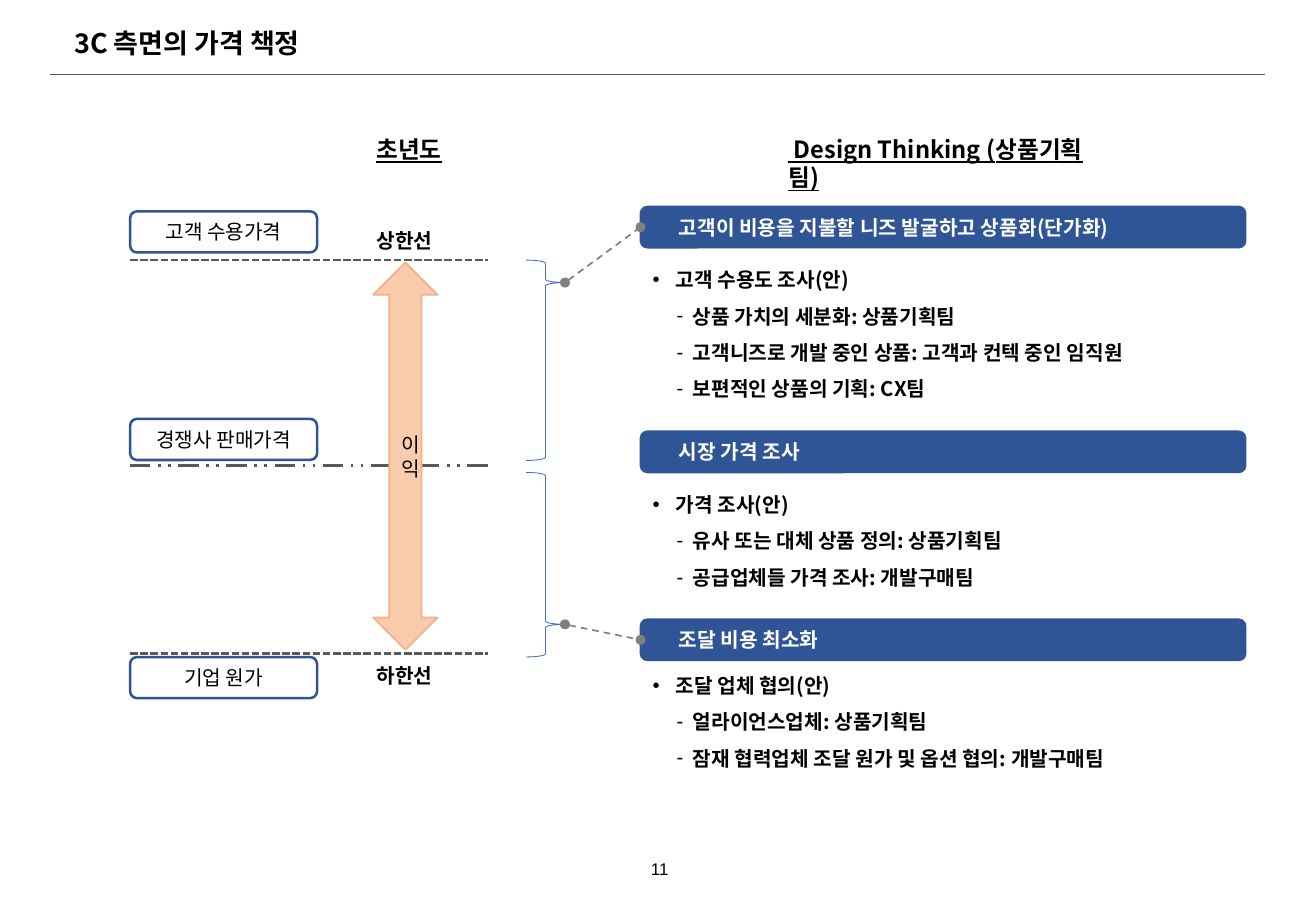
from lxml.etree import SubElement
from pptx import Presentation
from pptx.dml.color import RGBColor
from pptx.enum.dml import MSO_LINE as DASH
from pptx.enum.shapes import MSO_CONNECTOR, MSO_SHAPE as SHAPE
from pptx.enum.text import MSO_ANCHOR as ANCHOR, MSO_AUTO_SIZE, PP_ALIGN as ALIGN
from pptx.oxml.ns import qn
from pptx.util import Cm, Pt

FONT = "Noto Sans CJK KR"
NAVY, BLUE, GRAY = "325491", "2F5597", "595959"
PRICE_X, LABEL_X, BRACE_X, BAR_X = 2.72, 7.62, 11, 13.39
BOX_H, BRACE_W = 0.86, 0.81

# Bar top, heading, list top, list height, list heading, list items
SECTIONS = [
    (4.32, "고객이 비용을 지불할 니즈 발굴하고 상품화(단가화)", 5.21, 3.25,
     "고객 수용도 조사(안)",
     ["상품 가치의 세분화: 상품기획팀",
      "고객니즈로 개발 중인 상품: 고객과 컨텍 중인 임직원",
      "보편적인 상품의 기획: CX팀"]),
    (9.02, "시장 가격 조사", 9.91, 2.46, "가격 조사(안)",
     ["유사 또는 대체 상품 정의: 상품기획팀",
      "공급업체들 가격 조사: 개발구매팀"]),
    (12.95, "조달 비용 최소화", 13.69, 2.46, "조달 업체 협의(안)",
     ["얼라이언스업체: 상품기획팀",
      "잠재 협력업체 조달 원가 및 옵션 협의: 개발구매팀"]),
]


def rgb(color):
    return RGBColor.from_string(color)


def write(p, text, size=12, color="000000", bold=False, underline=False,
          align=ALIGN.LEFT, spacing=1, font=FONT):
    p.alignment = align
    p.space_before = Pt(0)
    p.line_spacing = Pt(round(1.2 * size * spacing, 1))
    r = p.add_run()
    r.text = text
    f = r.font
    f.name, f.size, f.bold, f.underline = font, Pt(size), bold, underline
    f.color.rgb = rgb(color)
    SubElement(r._r.get_or_add_rPr(), qn("a:ea"), typeface=font)


def place(s, x, y, w, h):
    s.left, s.top, s.width, s.height = Cm(x), Cm(y), Cm(w), Cm(h)


def set_frame(tf, anchor=ANCHOR.TOP, wrap=True):
    tf.word_wrap = wrap
    tf.auto_size = MSO_AUTO_SIZE.NONE
    tf.vertical_anchor = anchor


def add_text(slide, x, y, w, h, text, anchor=ANCHOR.TOP, wrap=True, **fmt):
    tf = slide.shapes.add_textbox(Cm(x), Cm(y), Cm(w), Cm(h)).text_frame
    set_frame(tf, anchor, wrap)
    write(tf.paragraphs[0], text, **fmt)


def add_shape(slide, kind, x, y, w, h, line, width, fill=None):
    s = slide.shapes.add_shape(kind, Cm(x), Cm(y), Cm(w), Cm(h))
    s.shadow.inherit = False
    s.line.color.rgb = rgb(line)
    s.line.width = Pt(width)
    if fill:
        s.fill.solid()
        s.fill.fore_color.rgb = rgb(fill)
    else:
        s.fill.background()
    set_frame(s.text_frame, ANCHOR.MIDDLE)
    return s


def add_line(slide, x1, y1, x2, y2, color=GRAY, width=1.5, dash=None, dots=False):
    """Draw a straight line, with round dots at both ends if asked."""
    c = slide.shapes.add_connector(MSO_CONNECTOR.STRAIGHT,
                                   Cm(x1), Cm(y1), Cm(x2), Cm(y2))
    c.line.color.rgb = rgb(color)
    c.line.width = Pt(width)
    if dash:
        c.line.dash_style = dash
    if dots:
        ln = c.line._get_or_add_ln()
        for end in ("a:headEnd", "a:tailEnd"):
            SubElement(ln, qn(end), type="oval")
    SubElement(c._element.spPr, qn("a:effectLst"))
    return c


def add_bullet(p, char, margin, hanging):
    pPr = p._p.get_or_add_pPr()
    pPr.set("marL", str(Cm(margin)))
    pPr.set("indent", str(-Cm(hanging)))
    SubElement(pPr, qn("a:buFont"), typeface="Arial")
    SubElement(pPr, qn("a:buChar"), char=char)


def fill_list(s, y, h, heading, items):
    place(s, BAR_X, y, 13.64, h)
    tf = s.text_frame
    set_frame(tf)
    p = tf.paragraphs[0]
    add_bullet(p, "•", 0.48, 0.48)
    write(p, heading, bold=True, spacing=1.5)
    for item in items:
        p = tf.add_paragraph()
        add_bullet(p, "-", 0.84, 0.34)
        write(p, item, bold=True, spacing=1.5)


def add_bar(slide, y, text):
    s = add_shape(slide, SHAPE.ROUNDED_RECTANGLE, BAR_X, y, 12.65, BOX_H,
                  NAVY, 1, BLUE)
    s.text_frame.margin_left = Cm(0.76)
    write(s.text_frame.paragraphs[0], text, color="FFFFFF", bold=True)
    return s


def add_price_range(slide):
    for y, dash in ((5.44, DASH.SQUARE_DOT), (9.73, DASH.DASH_DOT_DOT),
                    (13.67, DASH.SQUARE_DOT)):
        add_line(slide, PRICE_X, y, 10.21, y, dash=dash)
    for y, text in ((4.42, "고객 수용가격"), (8.76, "경쟁사 판매가격"),
                    (13.74, "기업 원가")):
        s = add_shape(slide, SHAPE.ROUNDED_RECTANGLE, PRICE_X, y, 3.91, BOX_H,
                      NAVY, 1.5, "FFFFFF")
        write(s.text_frame.paragraphs[0], text, align=ALIGN.CENTER)
    for y, text in ((4.65, "상한선"), (13.74, "하한선")):
        add_text(slide, LABEL_X, y, 1.73, 0.76, text, wrap=False, bold=True)
    arrow = add_shape(slide, SHAPE.UP_DOWN_ARROW, 7.8, 5.49, 1.35, 8.1,
                      "F4B183", 1, "F8CBAD")
    write(arrow.text_frame.paragraphs[0], "이익", align=ALIGN.CENTER)


def add_brace(slide, y, h, tip, bar):
    """Add a brace whose tip, a fraction of its height, is tied to a bar."""
    s = add_shape(slide, SHAPE.RIGHT_BRACE, BRACE_X, y, BRACE_W, h, "4472C4", 0.5)
    s.adjustments[0], s.adjustments[1] = 0.083, tip
    tip_x, tip_y = BRACE_X + BRACE_W, y + h * tip
    c = add_line(slide, tip_x, tip_y, BAR_X, tip_y, "808080", 1, DASH.DASH, dots=True)
    c.end_connect(bar, 1)


def main():
    prs = Presentation()
    prs.slide_width, prs.slide_height = Cm(27.51), Cm(19.05)
    slide = prs.slides.add_slide(prs.slide_layouts.get_by_name("Comparison"))
    title, *bodies = slide.placeholders

    place(title, 1.3, 0.43, 14.73, 0.94)
    set_frame(title.text_frame)
    write(title.text_frame.paragraphs[0], "3C 측면의 가격 책정", size=16, bold=True)
    add_line(slide, 1.04, 1.55, 26.44, 1.55, width=0.25)

    heading = dict(size=14, bold=True, underline=True)
    add_text(slide, LABEL_X, 2.69, 1.9, BOX_H, "초년도", wrap=False, **heading)
    add_text(slide, 16.23, 2.69, 7.21, BOX_H, " Design Thinking (상품기획팀)", **heading)

    add_price_range(slide)
    bars = []
    for body, (bar_y, text, *content) in zip(bodies, SECTIONS):
        bars.append(add_bar(slide, bar_y, text))
        fill_list(body, *content)
    for spare in bodies[len(SECTIONS):]:
        spare._element.getparent().remove(spare._element)
    add_brace(slide, 5.44, 4.19, 0.112, bars[0])
    add_brace(slide, 9.88, 3.86, 0.823, bars[2])

    add_text(slide, 10.69, 17.65, 6.2, 1.02, "11", anchor=ANCHOR.MIDDLE,
             size=10, align=ALIGN.CENTER, font="Arial")
    prs.save("out.pptx")


if __name__ == "__main__":
    main()
